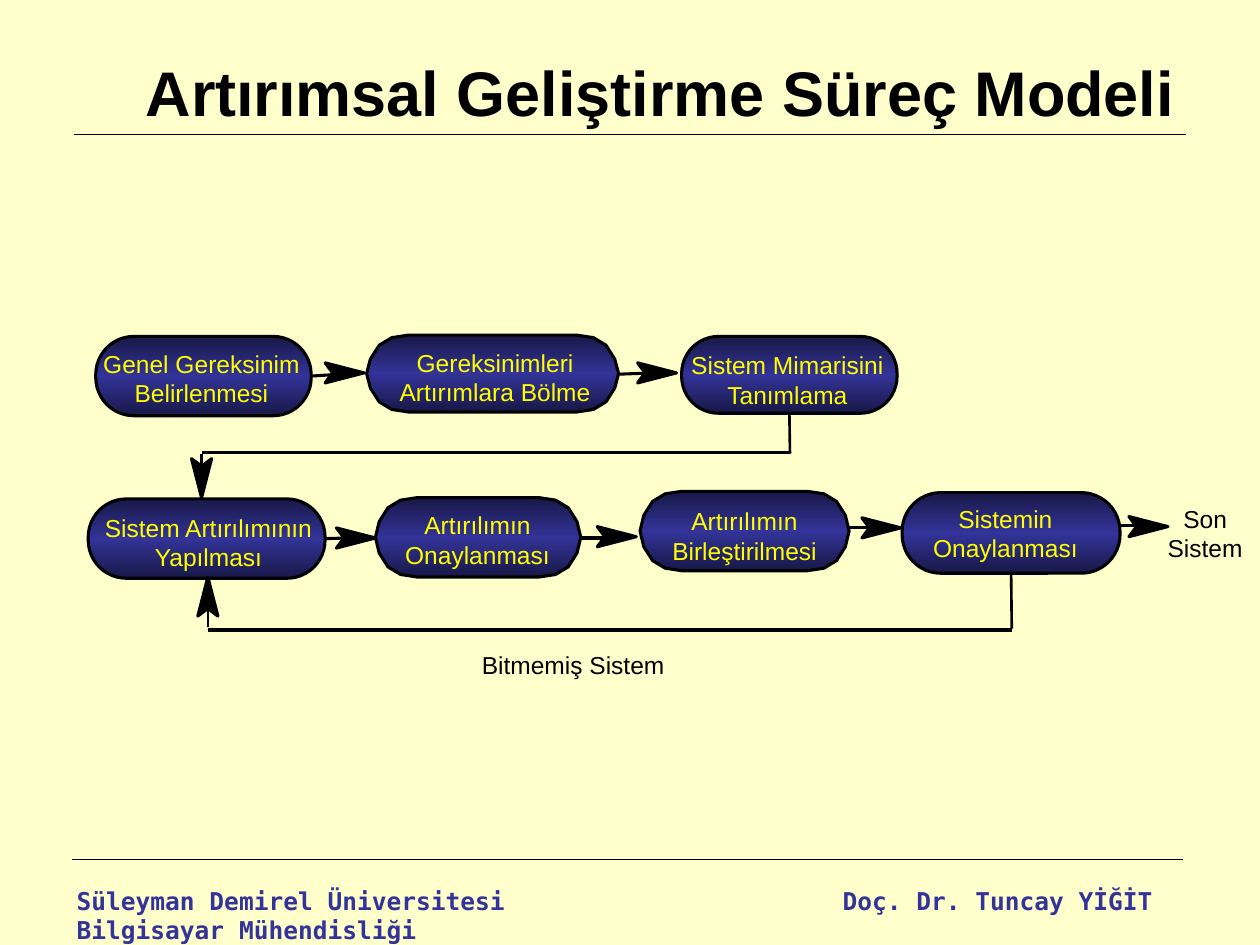
import copy
import lxml.etree
import pptx
import pptx.util
import pptx.dml.color
import pptx.enum.shapes
import pptx.enum.text
import pptx.oxml.ns

Inches, Pt = pptx.util.Inches, pptx.util.Pt
ALIGN = pptx.enum.text.PP_ALIGN
COLORS = {"bg": "FFFFCC", "ink": "000000", "edge": "181847",
          "blue": "333399", "label": "FFFF00"}

# Steps: name -> outline, (left, top, width, height), text box, paragraphs
STEPS = {
    "general": ("round", (0.76, 2.67, 1.71, 0.63), (0.7, 2.72, 1.8, 0.5),
                ["Genel Gereksinim", "Belirlenmesi"]),
    "split": ("facet", (2.91, 2.66, 2, 0.61), (3.03, 2.71, 1.8, 0.5),
              ["Gereksinimleri", "Artırımlara Bölme"]),
    "architecture": ("round", (5.41, 2.67, 1.71, 0.61), (5.35, 2.73, 1.8, 0.5),
                     ["Sistem Mimarisini Tanımlama"]),
    "build": ("round", (0.7, 3.96, 1.88, 0.63), (0.7, 4.02, 1.91, 0.76),
              ["Sistem Artırılımının", "Yapılması"]),
    "approve": ("facet", (2.98, 3.95, 1.63, 0.63), (2.89, 4, 1.8, 0.6),
                ["Artırılımın", "Onaylanması"]),
    "merge": ("facet", (5.08, 3.9, 1.66, 0.63), (5.01, 3.97, 1.8, 0.69),
              ["Artırılımın", "Birleştirilmesi"]),
    "system": ("round", (7.16, 3.91, 1.73, 0.64), (7.08, 3.95, 1.8, 0.62),
               ["Sistemin Onaylanması"]),
}
# Lines: from, to, width, (step, site) where the line starts
LINES = [
    ((0.59, 1.07), (9.41, 1.07), 0.75, None),
    ((0.57, 6.82), (9.39, 6.82), 0.75, None),
    ((2.47, 2.98), (2.71, 2.97), 1.75, ("general", 3)),
    ((4.91, 2.97), (5.18, 2.96), 1.75, None),
    ((2.58, 4.28), (2.76, 4.27), 1.75, ("build", 3)),
    ((4.61, 4.27), (4.8, 4.27), 1.75, None),
    ((6.73, 4.19), (6.95, 4.19), 1.75, None),
    ((8.88, 4.17), (9.07, 4.17), 1.75, None),
    ((6.27, 3.28), (6.27, 3.6), 1.5, ("architecture", 2)),
    ((6.27, 3.59), (1.6, 3.59), 1.75, None),
    ((1.6, 3.6), (1.6, 3.85), 1.5, None),
    ((8.03, 4.55), (8.03, 4.99), 1.5, ("system", 2)),
    ((8.03, 5), (1.65, 5), 1.75, None),
    ((1.65, 4.98), (1.65, 4.73), 1.5, None),
]
# Arrowheads: tip and direction
HEADS = [((2.89, 2.96), (1, 0)), ((5.37, 2.96), (1, 0)),
         ((2.98, 4.27), (1, 0)), ((5.05, 4.26), (1, 0)),
         ((7.15, 4.19), (1, 0)), ((9.27, 4.18), (1, 0)),
         ((1.6, 3.95), (0, 1)), ((1.65, 4.58), (0, -1))]
# Plain texts: box, paragraphs, font, size, colour, bold, alignment
MONO = "DejaVu Sans Mono"
TEXTS = [
    ((0.84, 0.3, 8.8, 0.85), ["Artırımsal Geliştirme Süreç Modeli"],
     "Arial", 36, "ink", True, ALIGN.CENTER),
    ((9.13, 3.95, 0.87, 0.5), ["Son", "Sistem"],
     "Arial", 14, "ink", False, ALIGN.CENTER),
    ((3.65, 5.11, 1.8, 0.37), ["Bitmemiş Sistem"],
     "Arial", 14, "ink", False, ALIGN.CENTER),
    ((0.51, 6.98, 4.25, 0.57),
     ["Süleyman Demirel Üniversitesi Bilgisayar Mühendisliği"],
     MONO, 14, "blue", True, ALIGN.LEFT),
    ((6.26, 6.98, 2.99, 0.34), ["Doç. Dr. Tuncay YİĞİT"],
     MONO, 14, "blue", True, ALIGN.RIGHT),
]
# Faceted corner: insets from the side and from the top
CORNER = [(0.33, 0), (0.2, 0.02), (0.1, 0.08), (0.03, 0.19)]


def rgb(name):
    return pptx.dml.color.RGBColor.from_string(COLORS[name])


def outline(s, points):
    pts = [(Inches(x), Inches(y)) for x, y in points]
    builder = s.shapes.build_freeform(*pts[0])
    builder.add_line_segments(pts[1:], close=True)
    return builder.convert_to_shape()


def ink_line(sp, width=1.75):
    sp.line.color.rgb = rgb("ink")
    sp.line.width = Pt(width)


def facet_points(x, y, w, h):
    top_right = [(x + w - dx, y + dy) for dx, dy in CORNER] + [(x + w, y + h / 2)]
    right = top_right + [(px, 2 * y + h - py) for px, py in top_right[-2::-1]]
    return right + [(2 * x + w - px, py) for px, py in right[::-1]]


def add_step(s, kind, box):
    if kind == "facet":
        sp = outline(s, facet_points(*box))
    else:
        sp = s.shapes.add_shape(pptx.enum.shapes.MSO_SHAPE.ROUNDED_RECTANGLE,
                                *map(Inches, box))
        sp.adjustments[0] = 0.48
    sp.shadow.inherit = False
    sp.fill.gradient()
    sp.fill.gradient_angle = 90
    edge, middle = sp.fill.gradient_stops
    edge.color.rgb, middle.color.rgb = rgb("edge"), rgb("blue")
    edge.position, middle.position = 0, 0.5
    stops = next(sp._element.iter(pptx.oxml.ns.qn("a:gsLst")))
    last = copy.deepcopy(stops[0])
    last.set("pos", "100000")
    stops.append(last)
    ink_line(sp)
    return sp


def add_line(s, start, end, width):
    c = s.shapes.add_connector(pptx.enum.shapes.MSO_CONNECTOR.STRAIGHT,
                               *map(Inches, start + end))
    ink_line(c, width)
    lxml.etree.SubElement(c._element.spPr, pptx.oxml.ns.qn("a:effectLst"))
    return c


def add_head(s, tip, direction):
    (x, y), (dx, dy) = tip, direction
    shape = [(0.25, 0), (0.31, 0.08), (0, 0), (0.31, -0.08)]
    sp = outline(s, [(x - dx * back - dy * side, y - dy * back + dx * side)
                     for back, side in shape])
    sp.shadow.inherit = False
    sp.fill.solid()
    sp.fill.fore_color.rgb = rgb("ink")
    ink_line(sp)


def add_text(s, box, lines, font, size, color, bold, align):
    tf = s.shapes.add_textbox(*map(Inches, box)).text_frame
    tf.word_wrap = True
    if size > 14:
        tf.vertical_anchor = pptx.enum.text.MSO_ANCHOR.MIDDLE
    tf.text = "\n".join(lines)
    for p in tf.paragraphs:
        p.alignment = align
        for r in p.runs:
            r.font.name, r.font.size, r.font.bold = font, Pt(size), bold
            r.font.color.rgb = rgb(color)


prs = pptx.Presentation()
prs.slide_width, prs.slide_height = Inches(10), Inches(7.5)
s = prs.slides.add_slide(prs.slide_layouts[6])
s.background.fill.solid()
s.background.fill.fore_color.rgb = rgb("bg")

# Process steps
steps = {name: add_step(s, kind, box) for name, (kind, box, _, _) in STEPS.items()}

# Flow lines and arrowheads
for start, end, width, joint in LINES:
    c = add_line(s, start, end, width)
    if joint:
        c.begin_connect(steps[joint[0]], joint[1])
for tip, direction in HEADS:
    add_head(s, tip, direction)

# Labels, title and footer
for _, _, box, lines in STEPS.values():
    add_text(s, box, lines, "Arial", 14, "label", False, ALIGN.CENTER)
for text in TEXTS:
    add_text(s, *text)

prs.save("out.pptx")
